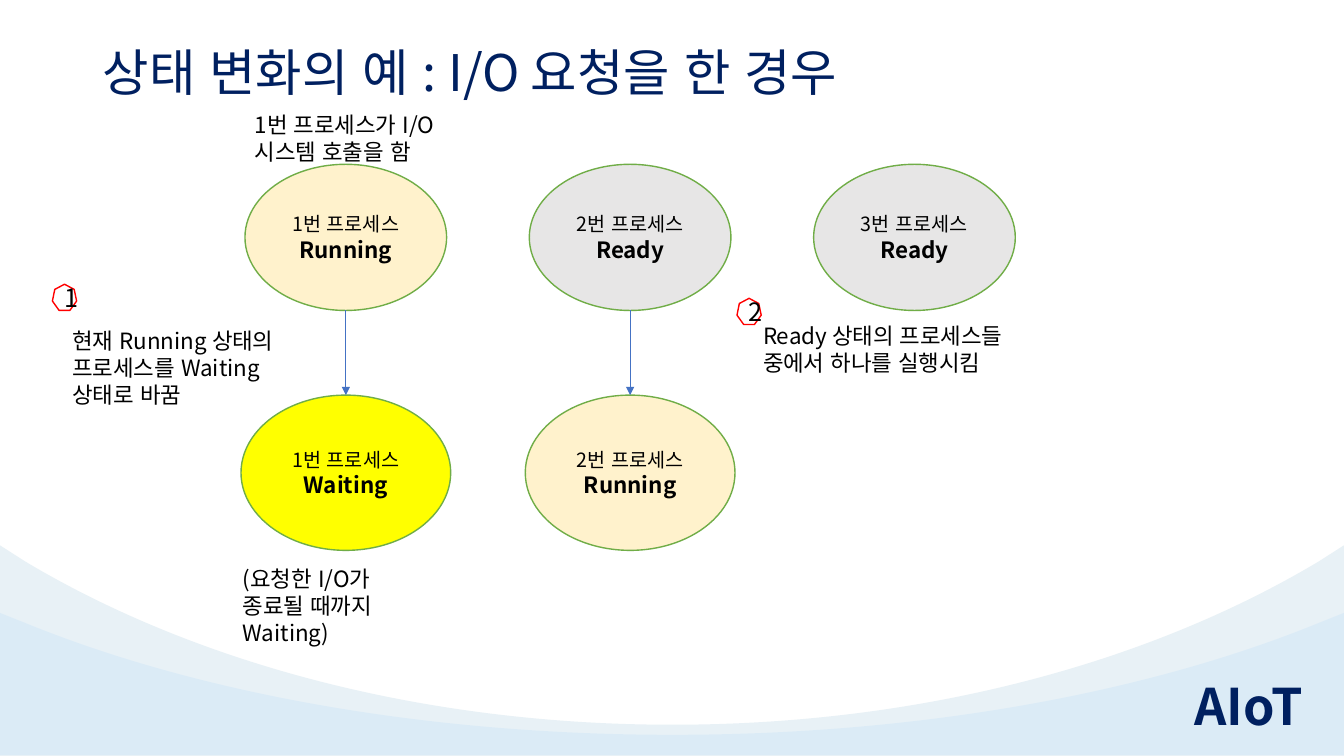
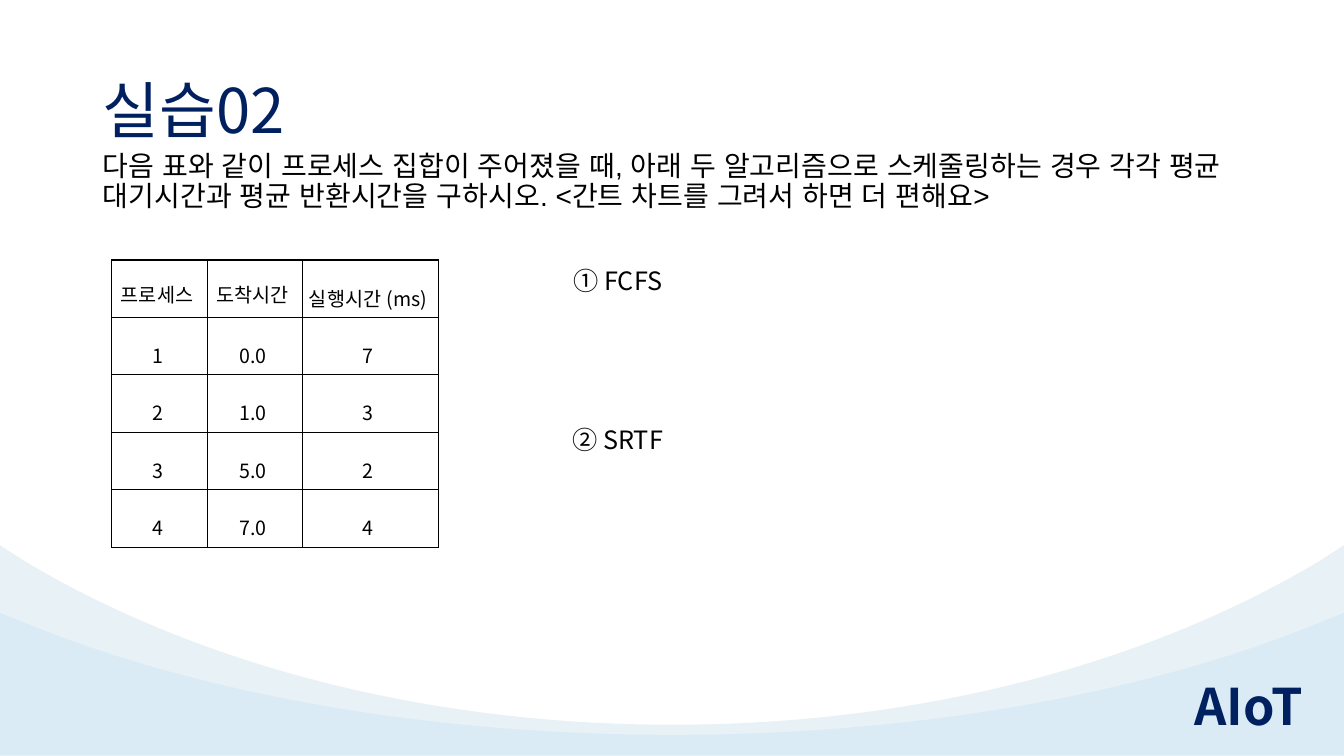
from lxml.etree import SubElement
from pptx import Presentation
from pptx.dml.color import RGBColor
from pptx.enum.shapes import MSO_CONNECTOR, MSO_SHAPE
from pptx.enum.text import MSO_ANCHOR, PP_ALIGN
from pptx.oxml.ns import qn
from pptx.util import Pt

PX = 9144  # 100 px to the inch
W, H = 1333, 750

NAVY = RGBColor(0x00, 0x20, 0x60)
BLACK = RGBColor(0x00, 0x00, 0x00)
CREAM = RGBColor(0xFF, 0xF2, 0xCC)
YELLOW = RGBColor(0xFF, 0xFF, 0x00)
GRAY = RGBColor(0xE7, 0xE6, 0xE6)
GREEN = RGBColor(0x70, 0xAD, 0x47)
BLUE = RGBColor(0x44, 0x72, 0xC4)
RED = RGBColor(0xFF, 0x00, 0x00)
PALE = RGBColor(0xE8, 0xF1, 0xF6)
SKY = RGBColor(0x7A, 0xC2, 0xF9)
KOREAN, FALLBACK = "Noto Sans CJK KR", "Arial"

# Shared bands: edge y, shoulder y, control y, lowest y, bottom y, colour, opacity %
BANDS = [(541, 557, 658, 719, 750, PALE, 100), (608, 618, 687, 729, 749, SKY, 11)]
FOOTER = "AIoT"

# Slide 1: processes (column, row, name, state, colour)
STATE_TITLE = "상태 변화의 예 : I/O 요청을 한 경우"
COLUMN_X, COLUMN_GAP = 343, 282
ROWS = [(163, 200, 145), (392, 208, 154)]  # top, width, height
PROCESSES = [
    (0, 0, "1번 프로세스", "Running", CREAM),
    (0, 1, "1번 프로세스", "Waiting", YELLOW),
    (1, 0, "2번 프로세스", "Ready", GRAY),
    (2, 0, "3번 프로세스", "Ready", GRAY),
    (1, 1, "2번 프로세스", "Running", CREAM),
]
NOTES = [
    (243, 105, 220, 64, "1번 프로세스가 I/O 시스템 호출을 함"),
    (62, 320, 238, 91, "현재 Running 상태의 프로세스를 Waiting 상태로 바꿈"),
    (747, 315, 284, 64, "Ready 상태의 프로세스들 중에서 하나를 실행시킴"),
    (231, 556, 200, 91, "(요청한 I/O가 종료될 때까지 Waiting)"),
]
STEPS = [(52, 282, "1"), (731, 296, "2")]

# Slide 2
PRACTICE_TITLE = "실습02"
QUESTION = ("다음 표와 같이 프로세스 집합이 주어졌을 때, 아래 두 알고리즘으로 "
            "스케줄링하는 경우 각각 평균 대기시간과 평균 반환시간을 구하시오. "
            "<간트 차트를 그려서 하면 더 편해요>")
SCHEDULE = [
    ("프로세스 ", "도착시간 ", "실행시간 (ms) "),
    ("1 ", "0.0 ", "7 "),
    ("2 ", "1.0 ", "3 "),
    ("3 ", "5.0 ", "2 "),
    ("4 ", "7.0 ", "4 "),
]
COLUMN_WIDTHS, ROW_HEIGHT = (95, 94, 135), 57
# left, top, width, height, text, line height in ems
ALGORITHMS = [(559, 258, 126, 40, "① FCFS", 1.2), (558, 399, 127, 53, "② SRTF", 1.9)]


def box(*lengths):
    return [n * PX for n in lengths]


def write(tf, *lines, size=16, color=BLACK, bold=False, font=KOREAN, align=PP_ALIGN.LEFT,
          anchor=MSO_ANCHOR.TOP, spacing=None, before=0, after=0, wrap=True):
    """Each line is a text or a (text, size, bold) tuple."""
    tf.word_wrap, tf.vertical_anchor = wrap, anchor
    for i, line in enumerate(lines):
        text, pts, heavy = line if isinstance(line, tuple) else (line, size, bold)
        p = tf.paragraphs[0] if i == 0 else tf.add_paragraph()
        p.alignment = align
        p.line_spacing = spacing or Pt(round(pts * 1.2, 1))
        p.space_before, p.space_after = Pt(before), Pt(after)
        r = p.add_run()
        r.text = text
        r.font.size, r.font.bold, r.font.name = Pt(pts), heavy, font
        r.font.color.rgb = color
        SubElement(r.font._element, qn("a:ea"), typeface=FALLBACK)


def add_text(s, area, *lines, **fmt):
    write(s.shapes.add_textbox(*box(*area)).text_frame, *lines, **fmt)


def add_title(s, top, text, size):
    add_text(s, (92, top, 1150, 145), text, size=size, color=NAVY,
             anchor=MSO_ANCHOR.MIDDLE, spacing=0.9)


def add_node(s, preset, area, line, *lines, fill=None, **fmt):
    sp = s.shapes.add_shape(preset, *box(*area))
    sp.shadow.inherit = False
    if fill is None:
        sp.fill.background()
    else:
        sp.fill.solid()
        sp.fill.fore_color.rgb = fill
    sp.line.color.rgb, sp.line.width = line, Pt(1)
    write(sp.text_frame, *lines, align=PP_ALIGN.CENTER, anchor=MSO_ANCHOR.MIDDLE, **fmt)


def add_arrow(s, *ends):
    c = s.shapes.add_connector(MSO_CONNECTOR.STRAIGHT, *box(*ends))
    c.line.color.rgb, c.line.width = BLUE, Pt(0.5)
    SubElement(c.line._get_or_add_ln(), qn("a:tailEnd"), type="triangle")
    SubElement(c._element.spPr, qn("a:effectLst"))


def bend(segment, *points):
    """Turn a straight freeform segment into a cubic curve."""
    cubic = segment.getparent().makeelement(qn("a:cubicBezTo"))
    for x, y in points:
        SubElement(cubic, qn("a:pt"), x=str(x * PX), y=str(y * PX))
    segment.getparent().replace(segment, cubic)


def add_band(s, edge, shoulder, control, low, bottom, color, opacity):
    outline = s.shapes.build_freeform(0, edge, scale=PX)
    outline.add_line_segments([(25, shoulder), (667, low), (1308, shoulder),
                               (W, edge), (W, bottom), (0, bottom)])
    sp = outline.convert_to_shape()
    # The path is measured from the top of the shape
    path = next(sp._element.iter(qn("a:path")))
    path.set("w", str(W * PX))
    path.set("h", str((bottom - edge) * PX))
    for node in path.iter(qn("a:pt")):
        node.set("x", str(int(node.get("x")) * PX))
        node.set("y", str(int(node.get("y")) * PX))
    shoulder, control, low = shoulder - edge, control - edge, low - edge
    segments = path.findall(qn("a:lnTo"))
    bend(segments[1], (194, control), (420, low), (667, low))
    bend(segments[2], (914, low), (1139, control), (1308, shoulder))
    sp.shadow.inherit = False
    sp.line.fill.background()
    sp.fill.solid()
    sp.fill.fore_color.rgb = color
    if opacity < 100:
        rgb = sp._element.spPr.find(qn("a:solidFill"))[0]
        SubElement(rgb, qn("a:alpha"), val=str(opacity * 1000))


def new_slide(prs):
    s = prs.slides.add_slide(prs.slide_layouts[6])
    for band in BANDS:
        add_band(s, *band)
    add_text(s, (1175, 664, 132, 71), FOOTER, size=36, color=NAVY, bold=True,
             wrap=False, spacing=Pt(44))
    return s


def add_table(s, left, top):
    frame = s.shapes.add_table(len(SCHEDULE), len(COLUMN_WIDTHS), *box(
        left, top, sum(COLUMN_WIDTHS), ROW_HEIGHT * len(SCHEDULE)))
    table = frame.table
    for column, width in zip(table.columns, COLUMN_WIDTHS):
        column.width = width * PX
    for row, values in zip(table.rows, SCHEDULE):
        row.height = ROW_HEIGHT * PX
        for cell, text in zip(row.cells, values):
            cell.margin_left = cell.margin_right = 6 * PX
            cell.margin_top = cell.margin_bottom = 6 * PX
            write(cell.text_frame, text, size=14, align=PP_ALIGN.CENTER, spacing=1.6, after=8)
            cell.vertical_anchor = MSO_ANCHOR.MIDDLE
            tcPr = cell._tc.get_or_add_tcPr()
            for side in ("lnL", "lnR", "lnT", "lnB"):
                ln = SubElement(tcPr, qn("a:" + side), w=str(Pt(1)))
                SubElement(SubElement(ln, qn("a:solidFill")), qn("a:srgbClr"), val=str(BLACK))
            cell.fill.background()


def state_slide(prs):
    s = new_slide(prs)
    add_title(s, 2, STATE_TITLE, 36)
    for col, row, name, state, color in PROCESSES:
        top, w, h = ROWS[row]
        center = COLUMN_X + col * COLUMN_GAP
        add_node(s, MSO_SHAPE.OVAL, (center - w // 2, top, w, h), GREEN,
                 (name, 14, False), (state, 16, True), fill=color)
        if row == 1:
            first_top, _, first_h = ROWS[0]
            add_arrow(s, center, first_top + first_h, center, top)
    for *area, text in NOTES:
        add_text(s, area, text)
    for x, y, number in STEPS:
        add_node(s, MSO_SHAPE.HEPTAGON, (x, y, 24, 26), RED, number, size=18)


def practice_slide(prs):
    s = new_slide(prs)
    add_text(s, (92, 146, 1150, 76), QUESTION, size=20, font="Arial", spacing=0.9, before=10)
    add_table(s, 111, 258)
    for *area, text, ems in ALGORITHMS:
        add_text(s, area, text, size=18, wrap=False, spacing=Pt(18 * ems))
    add_title(s, 40, PRACTICE_TITLE, 44)


def main():
    prs = Presentation()
    prs.slide_width, prs.slide_height = box(W, H)
    state_slide(prs)
    practice_slide(prs)
    prs.save("out.pptx")


if __name__ == "__main__":
    main()
